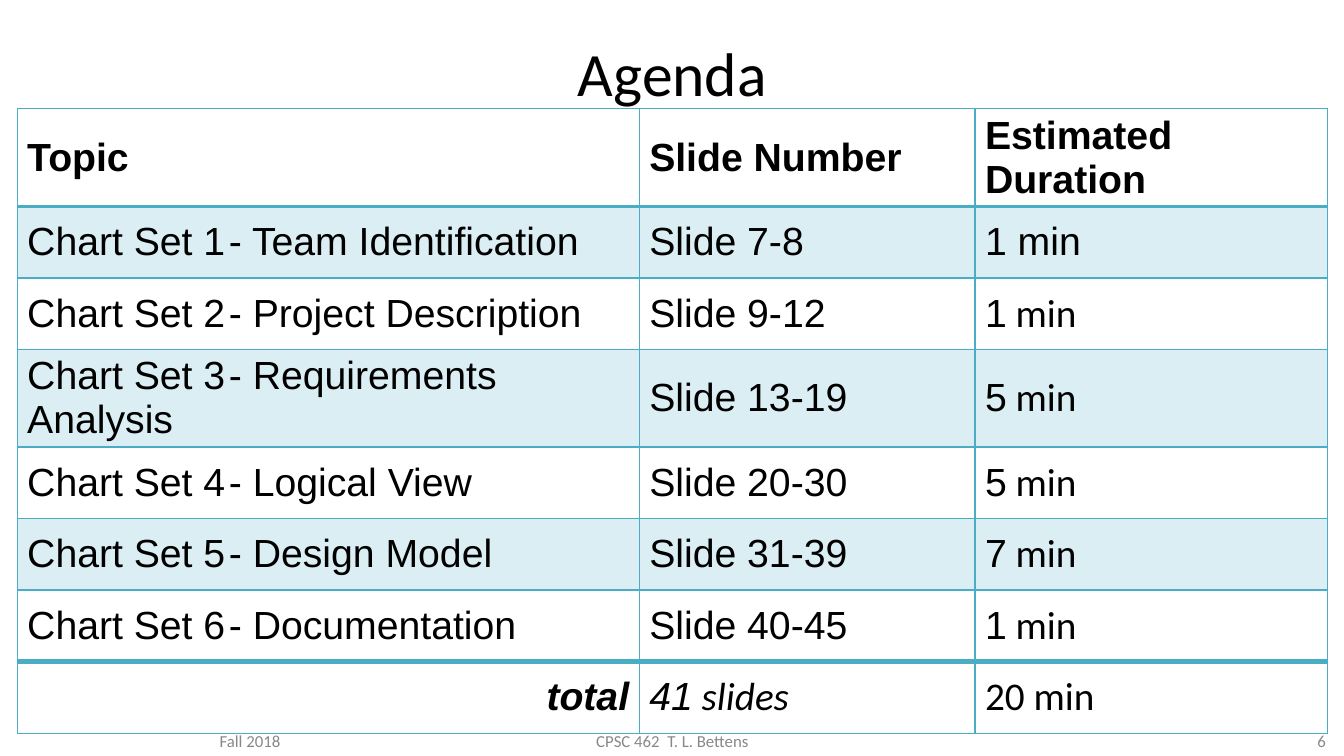
from dataclasses import dataclass

from lxml import etree
from pptx import Presentation
from pptx.dml.color import RGBColor
from pptx.enum.text import MSO_ANCHOR as Anchor, PP_ALIGN as Align
from pptx.oxml.ns import qn
from pptx.util import Inches, Pt

BLACK = RGBColor(0x00, 0x00, 0x00)
GREY = RGBColor(0x88, 0x88, 0x88)
TEAL = RGBColor(0x4B, 0xAC, 0xC6)

COLUMN_WIDTHS = (6.17, 3.33, 3.5)
ROW_HEIGHT = 0.71
BAND_OPACITY = 20  # percent


@dataclass(frozen=True)
class Run:
    text: str
    font: str = "Arial"
    bold: bool = False
    italic: bool = False


@dataclass(frozen=True)
class Topic:
    name: str
    slides: str
    minutes: str
    unit_font: str = "Calibri"


@dataclass(frozen=True)
class Footer:
    text: str
    left: float
    width: float
    align: Align


HEADINGS = ("Topic", "Slide Number", "Estimated Duration")
TOPICS = (
    Topic("Team Identification", "7-8", "1", unit_font="Arial"),
    Topic("Project Description", "9-12", "1"),
    Topic("Requirements Analysis", "13-19", "5"),
    Topic("Logical View", "20-30", "5"),
    Topic("Design Model", "31-39", "7"),
    Topic("Documentation", "40-45", "1"),
)
TOTAL = (
    [Run("total", bold=True, italic=True)],
    [Run("41", italic=True), Run(" slides", "Calibri", italic=True)],
    [Run("20 min", "Calibri")],
)
FOOTERS = (
    Footer("Fall 2018", 2.08, 2.33, Align.LEFT),
    Footer("CPSC 462  T. L. Bettens", 4.42, 4.5, Align.CENTER),
    Footer("6", 10.25, 3, Align.RIGHT),
)


def write_text(frame, runs: list[Run], *, size: float, color: RGBColor = BLACK,
               align: Align = Align.LEFT) -> None:
    """Write one paragraph of formatted runs into a text frame."""
    frame.word_wrap = True
    paragraph = frame.paragraphs[0]
    paragraph.alignment = align
    for item in runs:
        run = paragraph.add_run()
        run.text = item.text
        run.font.name = item.font
        run.font.size = Pt(size)
        run.font.bold = item.bold
        run.font.italic = item.italic
        run.font.color.rgb = color


def add_border(cell, side: str, width: float) -> None:
    properties = cell._tc.get_or_add_tcPr()
    line = etree.SubElement(properties, qn(f"a:ln{side}"), w=str(Pt(width)))
    fill = etree.SubElement(line, qn("a:solidFill"))
    etree.SubElement(fill, qn("a:srgbClr"), val=str(TEAL))


def fill_band(cell) -> None:
    cell.fill.solid()
    cell.fill.fore_color.rgb = TEAL
    color = cell._tc.tcPr.find(f"{qn('a:solidFill')}/{qn('a:srgbClr')}")
    etree.SubElement(color, qn("a:alpha"), val=str(BAND_OPACITY * 1000))


def agenda_rows() -> list:
    rows = [[[Run(heading, bold=True)] for heading in HEADINGS]]
    for number, topic in enumerate(TOPICS, start=1):
        rows.append([
            [Run(f"Chart Set {number}\t- {topic.name}")],
            [Run(f"Slide {topic.slides}")],
            [Run(topic.minutes), Run(" min", topic.unit_font)],
        ])
    return rows + [TOTAL]


def add_agenda_table(slide) -> None:
    rows = agenda_rows()
    total_row = len(rows) - 1
    table = slide.shapes.add_table(
        len(rows), len(COLUMN_WIDTHS), Inches(0.17), Inches(1.08),
        Inches(sum(COLUMN_WIDTHS)), Inches(ROW_HEIGHT * len(rows))).table
    table.first_row = table.horz_banding = False
    for column, width in zip(table.columns, COLUMN_WIDTHS):
        column.width = Inches(width)

    # Heavier rules lie below the headings and above the total
    rules = {1: 2, total_row: 4}
    for row, contents in enumerate(rows):
        table.rows[row].height = Inches(ROW_HEIGHT)
        for column, runs in enumerate(contents):
            cell = table.cell(row, column)
            cell.vertical_anchor = Anchor.MIDDLE
            is_total_label = row == total_row and column == 0
            write_text(cell.text_frame, runs, size=28,
                       align=Align.RIGHT if is_total_label else Align.LEFT)
            widths = {"L": 1, "R": 1, "T": rules.get(row, 1), "B": rules.get(row + 1, 1)}
            for side, width in widths.items():
                add_border(cell, side, width)
            if row % 2 and row < total_row:
                fill_band(cell)
            else:
                cell.fill.background()


def add_footer(slide, footer: Footer) -> None:
    box = slide.shapes.add_textbox(
        Inches(footer.left), Inches(6.95), Inches(footer.width), Inches(0.55))
    box.text_frame.vertical_anchor = Anchor.BOTTOM
    write_text(box.text_frame, [Run(footer.text, "Calibri")], size=12,
               color=GREY, align=footer.align)


def main() -> None:
    presentation = Presentation()
    presentation.slide_width = Inches(13.33)
    presentation.slide_height = Inches(7.5)
    slide = presentation.slides.add_slide(presentation.slide_layouts[5])

    # Title
    title = slide.shapes.title
    title.left, title.top = Inches(0.17), Inches(0.3)
    title.width, title.height = Inches(13), Inches(1.25)
    title.text_frame.vertical_anchor = Anchor.TOP
    write_text(title.text_frame, [Run("Agenda", "Calibri")], size=44, align=Align.CENTER)

    # Table and footer line
    add_agenda_table(slide)
    for footer in FOOTERS:
        add_footer(slide, footer)

    presentation.save("out.pptx")


if __name__ == "__main__":
    main()
